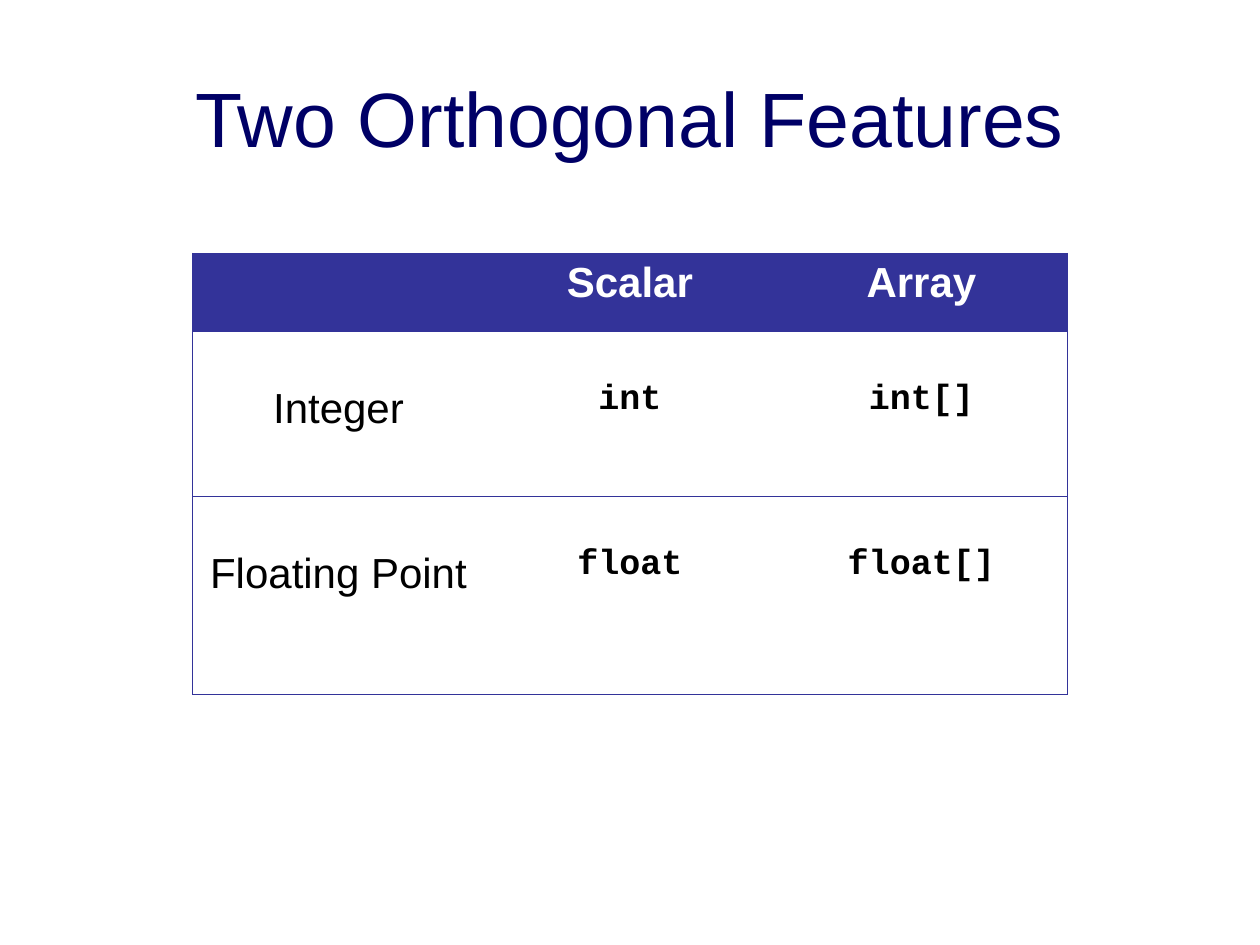
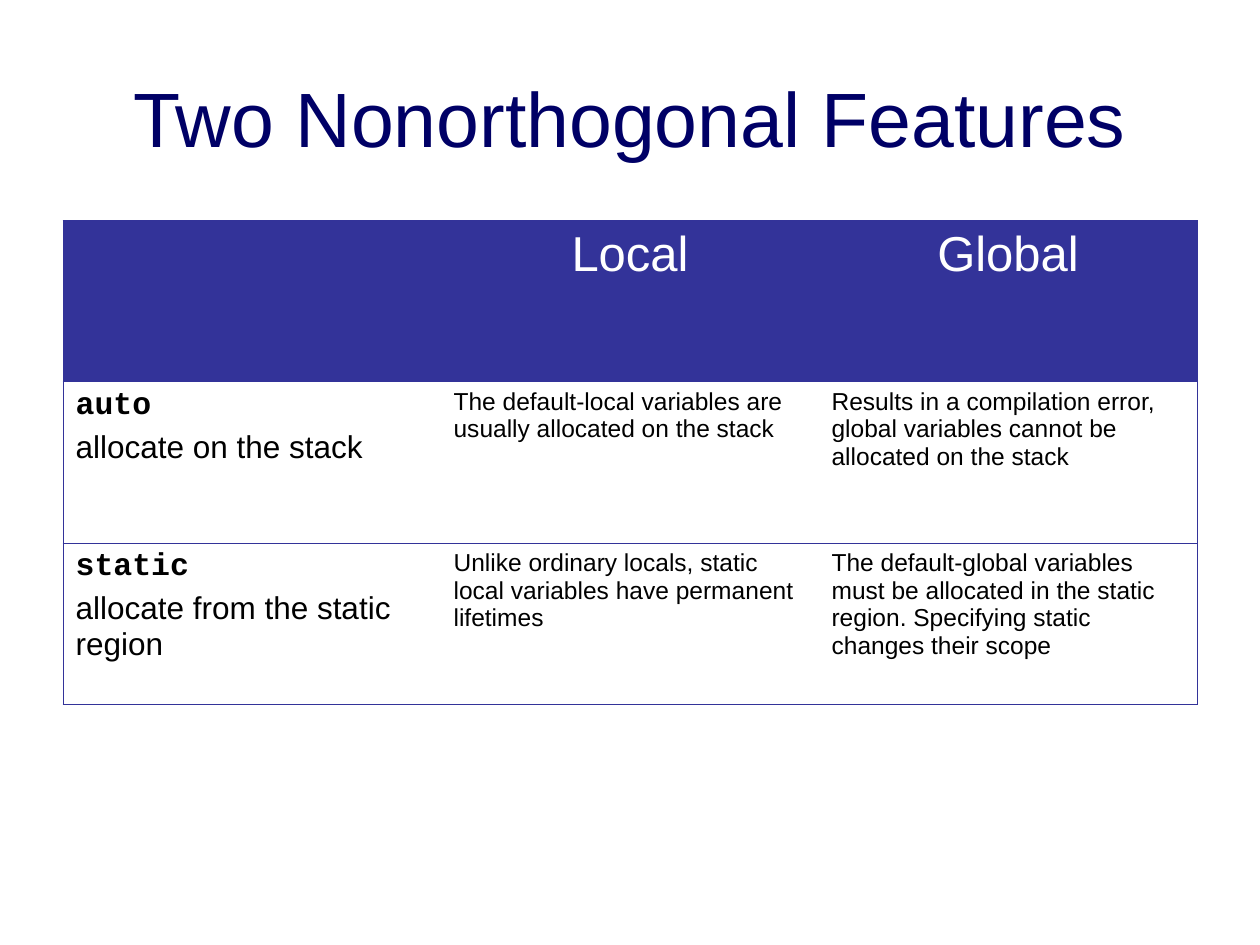
from dataclasses import dataclass

from lxml.etree import SubElement
from pptx import Presentation
from pptx.dml.color import RGBColor as Color
from pptx.enum.text import MSO_ANCHOR as Anchor, PP_ALIGN as Align
from pptx.oxml.ns import qn
from pptx.util import Inches, Pt


@dataclass(frozen=True)
class Theme:
    """Colours, fonts and sizes shared by both slides."""
    title: str = "000066"
    band: str = "333399"
    white: str = "FFFFFF"
    ink: str = "000000"
    sans: str = "Arial"
    mono: str = "Courier New"
    title_size: int = 44
    rule: float = 0.5
    space: float = 0.2


@dataclass(frozen=True)
class Style:
    """Look of one paragraph; drop lowers the text within its cell, in inches."""
    size: int
    font: str = Theme.sans
    color: str = Theme.ink
    bold: bool = False
    align: Align = Align.LEFT
    drop: float = 0


THEME = Theme()

TYPE_HEAD = Style(24, color=THEME.white, bold=True, align=Align.CENTER)
TYPE_NAME = Style(24, align=Align.CENTER, drop=0.38)
TYPE_CODE = Style(20, THEME.mono, bold=True, align=Align.CENTER, drop=0.34)

SCOPE_HEAD = Style(28, color=THEME.white, align=Align.CENTER)
KEYWORD = Style(18, THEME.mono, bold=True)
MEANING = Style(18)
REMARK = Style(14)


def style_paragraph(para, text, style):
    """Write text into a paragraph and format it."""
    para.text = text
    para.alignment = style.align
    para.font.name = style.font
    para.font.size = Pt(style.size)
    para.font.bold = style.bold
    para.font.color.rgb = Color.from_string(style.color)


def add_page(deck, title):
    """Add a title-only slide with the shared title style."""
    page = deck.slides.add_slide(deck.slide_layouts[5])
    box = page.shapes.title
    box.left, box.top = Inches(0.5), Inches(0.3)
    box.width, box.height = Inches(9), Inches(1.25)
    frame = box.text_frame
    frame.vertical_anchor = Anchor.MIDDLE
    style = Style(THEME.title_size, color=THEME.title, align=Align.CENTER)
    style_paragraph(frame.paragraphs[0], title, style)
    return page


def set_borders(cell, left, right):
    """Rule the top and bottom of a cell, and its outer sides if asked."""
    properties = cell._tc.get_or_add_tcPr()
    sides = {"a:lnL": left, "a:lnR": right, "a:lnT": True, "a:lnB": True}
    for tag, visible in sides.items():
        line = SubElement(properties, qn(tag), w=str(Pt(THEME.rule)))
        if visible:
            fill = SubElement(line, qn("a:solidFill"))
            SubElement(fill, qn("a:srgbClr"), val=THEME.band)
        else:
            SubElement(line, qn("a:noFill"))


def fill_cell(cell, lines):
    """Write (text, style) lines into a cell."""
    frame = cell.text_frame
    for index, (text, style) in enumerate(lines):
        para = frame.add_paragraph() if index else frame.paragraphs[0]
        style_paragraph(para, text, style)
        if index:
            para.space_before = Pt(style.size * THEME.space)
        else:
            cell.margin_top = Inches(0.05 + style.drop)


def add_grid(page, left, top, width, heights, rows):
    """Add a table with equal columns, a coloured header and ruled rows."""
    count = len(rows[0])
    table = page.shapes.add_table(
        len(rows), count, Inches(left), Inches(top),
        Inches(width), Inches(sum(heights))).table
    table.first_row = table.horz_banding = False
    for row, height in zip(table.rows, heights):
        row.height = Inches(height)
    for r, row in enumerate(rows):
        for c, lines in enumerate(row):
            cell = table.cell(r, c)
            set_borders(cell, c == 0, c == count - 1)
            if r == 0:
                cell.fill.solid()
                cell.fill.fore_color.rgb = Color.from_string(THEME.band)
            else:
                cell.fill.background()
            fill_cell(cell, lines)


def header_row(names, style):
    """Return a header row whose first cell is empty."""
    return [[]] + [[(name, style)] for name in names]


def type_row(name, *codes):
    """Return a row with a kind of number and its type names."""
    return [[(name, TYPE_NAME)]] + [[(code, TYPE_CODE)] for code in codes]


def storage_row(keyword, meaning, *remarks):
    """Return a row with a storage keyword, its meaning and remarks."""
    first = [(keyword, KEYWORD), (meaning, MEANING)]
    return [first] + [[(remark, REMARK)] for remark in remarks]


def main():
    """Build both slides and save the deck."""
    deck = Presentation()
    deck.slide_width, deck.slide_height = Inches(10), Inches(7.5)

    page = add_page(deck, "Two Orthogonal Features")
    add_grid(page, 1.53, 2.01, 6.94, [0.62, 1.31, 1.57], [
        header_row(["Scalar", "Array"], TYPE_HEAD),
        type_row("Integer", "int", "int[]"),
        type_row("Floating Point", "float", "float[]"),
    ])

    page = add_page(deck, "Two Nonorthogonal Features")
    add_grid(page, 0.5, 1.75, 9, [1.28] * 3, [
        header_row(["Local", "Global"], SCOPE_HEAD),
        storage_row(
            "auto", "allocate on the stack",
            "The default-local variables are usually allocated on the stack",
            "Results in a compilation error, global variables cannot be "
            "allocated on the stack"),
        storage_row(
            "static", "allocate from the static region",
            "Unlike ordinary locals, static local variables have permanent "
            "lifetimes",
            "The default-global variables must be allocated in the static "
            "region. Specifying static changes their scope"),
    ])

    deck.save("out.pptx")


main()
